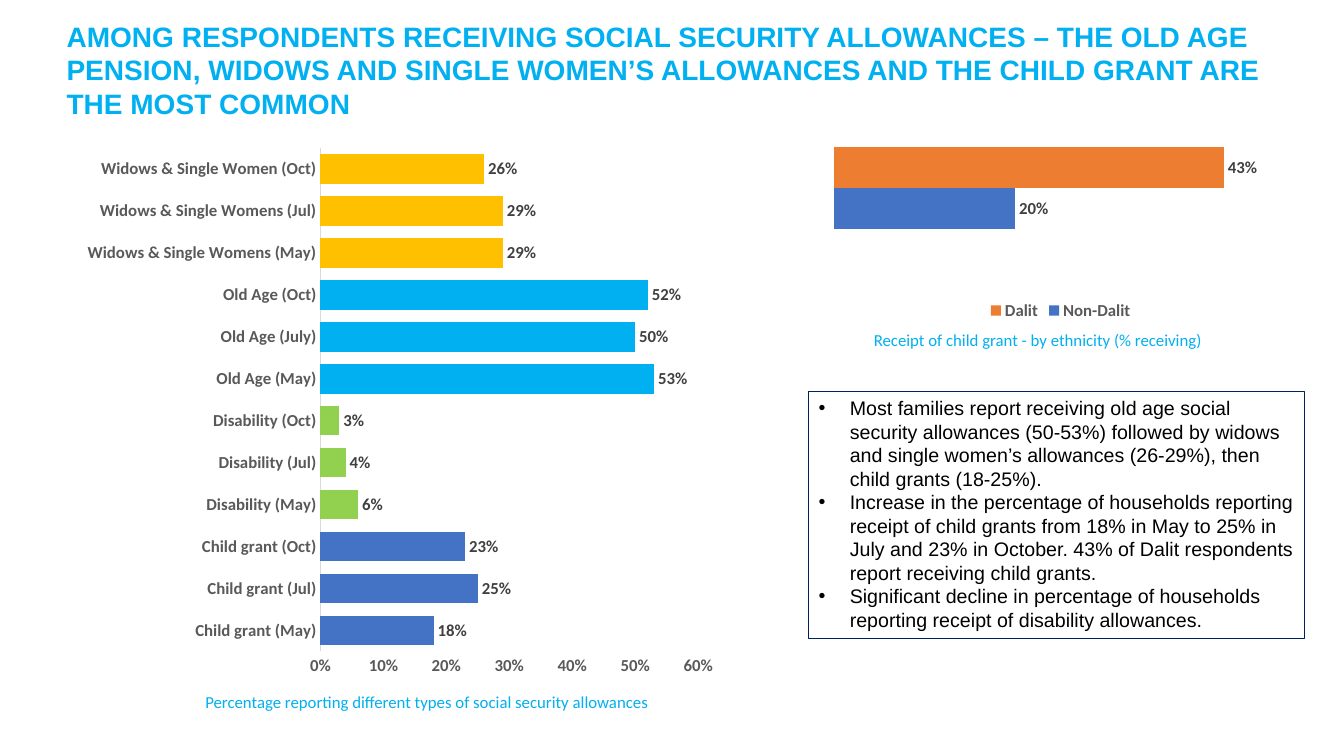
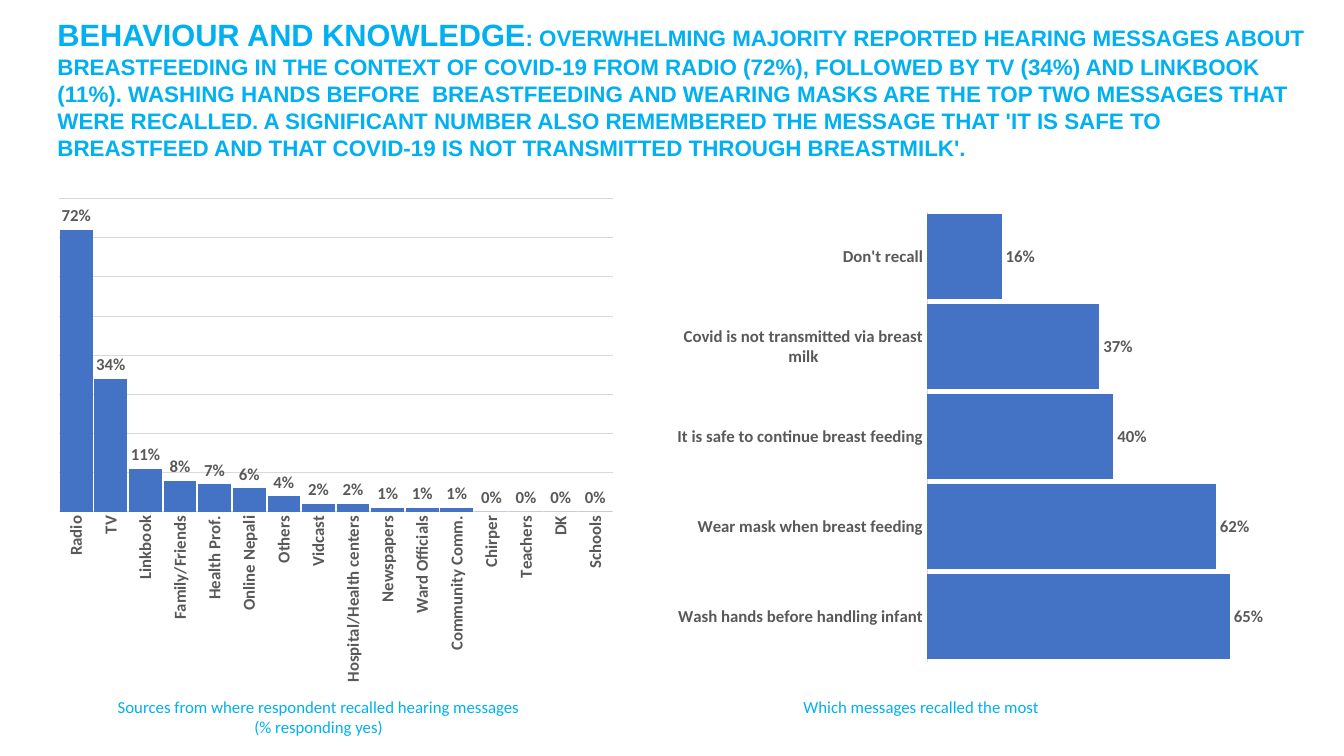
from lxml import etree
from pptx import Presentation
from pptx.chart.data import CategoryChartData
from pptx.dml.color import RGBColor
from pptx.enum.chart import XL_CHART_TYPE, XL_LABEL_POSITION, XL_LEGEND_POSITION, XL_TICK_MARK
from pptx.enum.shapes import MSO_SHAPE
from pptx.enum.text import MSO_ANCHOR, MSO_AUTO_SIZE, PP_ALIGN
from pptx.oxml import parse_xml
from pptx.oxml.ns import nsdecls, qn
from pptx.util import Inches, Pt

BAR, COL = XL_CHART_TYPE.BAR_CLUSTERED, XL_CHART_TYPE.COLUMN_CLUSTERED
OUT, LOW = XL_LABEL_POSITION.OUTSIDE_END, XL_LEGEND_POSITION.BOTTOM
NO_TICK = XL_TICK_MARK.NONE
LEFT, MID = PP_ALIGN.LEFT, PP_ALIGN.CENTER

SKY, BLUE, ORANGE, GREEN, GOLD = "00B0F0", "4472C4", "ED7D31", "92D050", "FFC000"
GREY, DARK, RULE, NAVY, BLACK = "595959", "404040", "D9D9D9", "002060", "000000"

PAGES = [
    {
        "title": [("AMONG RESPONDENTS RECEIVING SOCIAL SECURITY ALLOWANCES – THE OLD AGE PENSION, "
                   "WIDOWS AND SINGLE WOMEN’S ALLOWANCES AND THE CHILD GRANT ARE THE MOST COMMON", 20)],
        "spot": (0.56, 0.14, 12.21, 1.11),
        "charts": [
            {"kind": BAR, "spot": (0.74, 1.36, 6.46, 5.45), "gap": 42, "top": 0.6,
             "ink": DARK, "scale": True,
             "cats": ["Child grant (May)", "Child grant (Jul)", "Child grant (Oct)",
                      "Disability (May)", "Disability (Jul)", "Disability (Oct)",
                      "Old Age (May)", "Old Age (July)", "Old Age (Oct)",
                      "Widows & Single Womens (May)", "Widows & Single Womens (Jul)",
                      "Widows & Single Women (Oct)"],
             "rows": [("Series 1", [0.18, 0.25, 0.23, 0.06, 0.04, 0.03,
                                    0.53, 0.5, 0.52, 0.29, 0.29, 0.26], BLUE)],
             "tints": [BLUE, GREEN, SKY, GOLD]},
            {"kind": BAR, "spot": (8.1, 0.8, 4.84, 2.42), "gap": 219, "top": 0.5,
             "ink": DARK, "bare": True, "plot": (0.035, 0.085, 0.93, 0.71), "cats": ["1"],
             "rows": [("Non-Dalit", [0.2], BLUE), ("Dalit", [0.43], ORANGE)]},
        ],
        "notes": [
            (["Percentage reporting different types of social security allowances"],
             (1.27, 6.81, 5.93, 0.3), MID),
            (["Receipt of child grant - by ethnicity (% receiving)"], (7.33, 3.22, 5.93, 0.3), MID),
        ],
        "points": [
            "Most families report receiving old age social security allowances (50-53%) followed by "
            "widows and single women’s allowances (26-29%), then child grants (18-25%).",
            "Increase in the percentage of households reporting receipt of child grants from 18% in "
            "May to 25% in July and 23% in October. 43% of Dalit respondents report receiving child grants.",
            "Significant decline in percentage of households reporting receipt of disability allowances.",
        ],
    },
    {
        "title": [("BEHAVIOUR AND KNOWLEDGE", 22),
                  (": OVERWHELMING MAJORITY REPORTED HEARING MESSAGES ABOUT BREASTFEEDING IN THE CONTEXT "
                   "OF COVID-19 FROM RADIO (72%), FOLLOWED BY TV (34%) AND LINKBOOK (11%). WASHING HANDS "
                   "BEFORE  BREASTFEEDING AND WEARING MASKS ARE THE TOP TWO MESSAGES THAT WERE RECALLED. "
                   "A SIGNIFICANT NUMBER ALSO REMEMBERED THE MESSAGE THAT 'IT IS SAFE TO BREASTFEED AND "
                   "THAT COVID-19 IS NOT TRANSMITTED THROUGH BREASTMILK'.", 16)],
        "spot": (0.47, 0.11, 12.65, 1.55),
        "charts": [
            {"kind": COL, "spot": (0.47, 1.87, 5.72, 5), "gap": 6, "top": 0.8,
             "ink": GREY, "grid": True, "turn": -90,
             "cats": ["Radio", "TV", "Linkbook", "Family/Friends", "Health Prof.", "Online Nepali",
                      "Others", "Vidcast", "Hospital/Health centers", "Newspapers", "Ward Officials",
                      "Community Comm.", "Chirper", "Teachers", "DK", "Schools"],
             "rows": [("Series 1", [0.72, 0.34, 0.11, 0.08, 0.07, 0.06, 0.04, 0.02, 0.02,
                                    0.01, 0.01, 0.01, 0, 0, 0, 0], BLUE)]},
            {"kind": BAR, "spot": (6.6, 2.01, 5.95, 4.65), "gap": 6, "top": 0.7, "ink": GREY,
             "cats": ["Wash hands before handling infant", "Wear mask when breast feeding",
                      "It is safe to continue breast feeding",
                      "Covid is not transmitted via breast milk", "Don't recall"],
             "rows": [("Series 1", [0.65, 0.62, 0.4, 0.37, 0.16], BLUE)]},
        ],
        "notes": [
            (["Sources from where respondent recalled hearing messages", "(% responding yes)"],
             (0.45, 6.86, 5.42, 0.5), MID),
            (["Which messages recalled the most"], (7.87, 6.86, 3.95, 0.3), LEFT),
        ],
        "points": [],
    },
]


def tint(code):
    return RGBColor.from_string(code)


def paint(fill, code):
    fill.solid()
    fill.fore_color.rgb = tint(code)


def style(font, size, code, bold=False, face="Calibri"):
    font.name, font.size, font.bold = face, Pt(size), bold
    font.color.rgb = tint(code)


def place(spot):
    return [Inches(n) for n in spot]


def head(slide, runs, spot):
    box = slide.shapes.title
    box.left, box.top, box.width, box.height = place(spot)
    frame = box.text_frame
    frame.word_wrap, frame.auto_size = True, MSO_AUTO_SIZE.NONE
    frame.vertical_anchor = MSO_ANCHOR.TOP
    para = frame.paragraphs[0]
    para.alignment = LEFT
    for text, size in runs:
        run = para.add_run()
        run.text = text
        style(run.font, size, SKY, True, "Arial")


def note(slide, lines, spot, align):
    frame = slide.shapes.add_textbox(*place(spot)).text_frame
    frame.word_wrap = True
    frame.text = "\n".join(lines)
    for para in frame.paragraphs:
        para.alignment = align
        style(para.runs[0].font, 12, SKY)


def panel(slide, points):
    box = slide.shapes.add_shape(MSO_SHAPE.RECTANGLE, *place((8.02, 3.88, 4.92, 2.46)))
    box.shadow.inherit = False
    box.fill.background()
    box.line.color.rgb = tint(NAVY)
    box.line.width = Pt(0.75)
    frame = box.text_frame
    frame.word_wrap = True
    frame.vertical_anchor = MSO_ANCHOR.TOP
    frame.text = "\n".join(points)
    for para in frame.paragraphs:
        para.alignment = LEFT
        props = para._p.get_or_add_pPr()
        props.set("marL", str(Inches(0.31)))
        props.set("indent", str(-Inches(0.31)))
        etree.SubElement(props, qn("a:buFont")).set("typeface", "Arial")
        etree.SubElement(props, qn("a:buChar")).set("char", "•")
        style(para.runs[0].font, 14, BLACK, face="Arial")


def fix(chart, sides):
    parts = "".join(f'<c:{key} val="{val}"/>' for key, val in
                    [("layoutTarget", "inner"), ("xMode", "edge"), ("yMode", "edge"),
                     *zip("xywh", sides)])
    area = chart._chartSpace.chart.plotArea
    for old in area.findall(qn("c:layout")):
        area.remove(old)
    area.insert(0, parse_xml(f'<c:layout {nsdecls("c")}><c:manualLayout>{parts}'
                             '</c:manualLayout></c:layout>'))


def turn(axis, angle):
    body = axis._element.find(qn("c:txPr")).find(qn("a:bodyPr"))
    body.set("rot", str(angle * 60000))
    body.set("vert", "horz")


def graph(slide, item):
    data = CategoryChartData(number_format="0%")
    data.categories = item["cats"]
    for name, vals, _ in item["rows"]:
        data.add_series(name, vals)
    chart = slide.shapes.add_chart(item["kind"], *place(item["spot"]), data).chart
    style(chart.font, 12, BLACK, True)
    chart.has_title = False
    bare = item.get("bare", False)
    chart.has_legend = bare
    if bare:
        chart.legend.position = LOW
        chart.legend.include_in_layout = False
        style(chart.legend.font, 12, GREY, True)
        fix(chart, item["plot"])

    cat, val = chart.category_axis, chart.value_axis
    for axis in (cat, val):
        axis.major_tick_mark = axis.minor_tick_mark = NO_TICK
        axis.has_major_gridlines = False
        style(axis.tick_labels.font, 12, GREY, True)
    cat.visible = not bare
    cat.format.line.color.rgb = tint(RULE)
    cat.format.line.width = Pt(0.75)
    if "turn" in item:
        turn(cat, item["turn"])
    val.visible = item.get("scale", False)
    val.format.line.fill.background()
    val.minimum_scale, val.maximum_scale, val.major_unit = 0, item["top"], 0.1
    val.tick_labels.number_format = "0%"
    val.tick_labels.number_format_is_linked = False
    if item.get("grid"):
        val.has_major_gridlines = True
        line = val.major_gridlines.format.line
        line.color.rgb, line.width = tint(RULE), Pt(0.75)

    plot = chart.plots[0]
    plot.gap_width, plot.overlap, plot.vary_by_categories = item["gap"], 0, False
    for row, (_, vals, code) in zip(plot.series, item["rows"]):
        paint(row.format.fill, code)
        row.invert_if_negative = False
        tints = item.get("tints", [])
        each = len(vals) // max(len(tints), 1)
        for i in range(each * len(tints)):
            paint(row.points[i].format.fill, tints[i // each])
        tags = row.data_labels
        tags.show_value, tags.position = True, OUT
        tags.number_format, tags.number_format_is_linked = "0%", False
        style(tags.font, 12, item["ink"], True)


def main():
    deck = Presentation()
    deck.slide_width, deck.slide_height = Inches(13.33), Inches(7.5)
    for page in PAGES:
        slide = deck.slides.add_slide(deck.slide_layouts[5])
        head(slide, page["title"], page["spot"])
        for item in page["charts"]:
            graph(slide, item)
        for lines, spot, align in page["notes"]:
            note(slide, lines, spot, align)
        if page["points"]:
            panel(slide, page["points"])
    deck.save("out.pptx")


if __name__ == "__main__":
    main()
